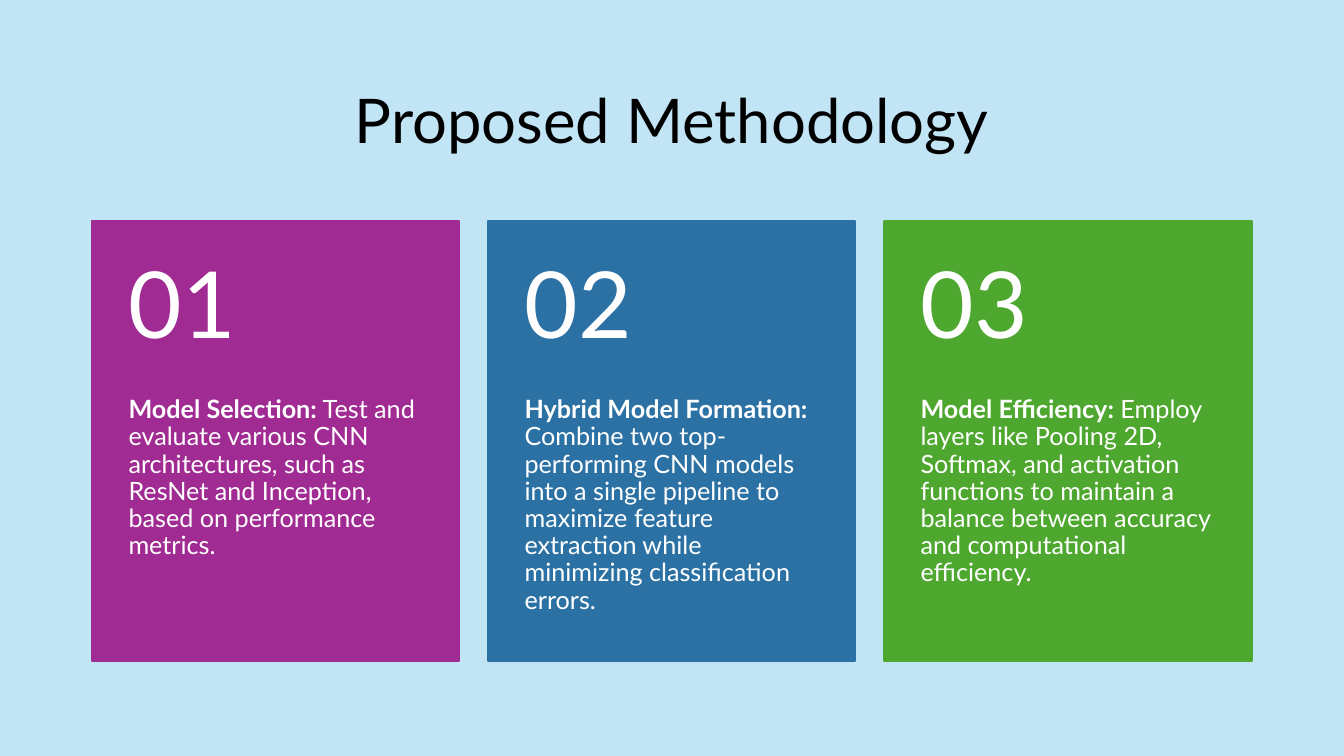
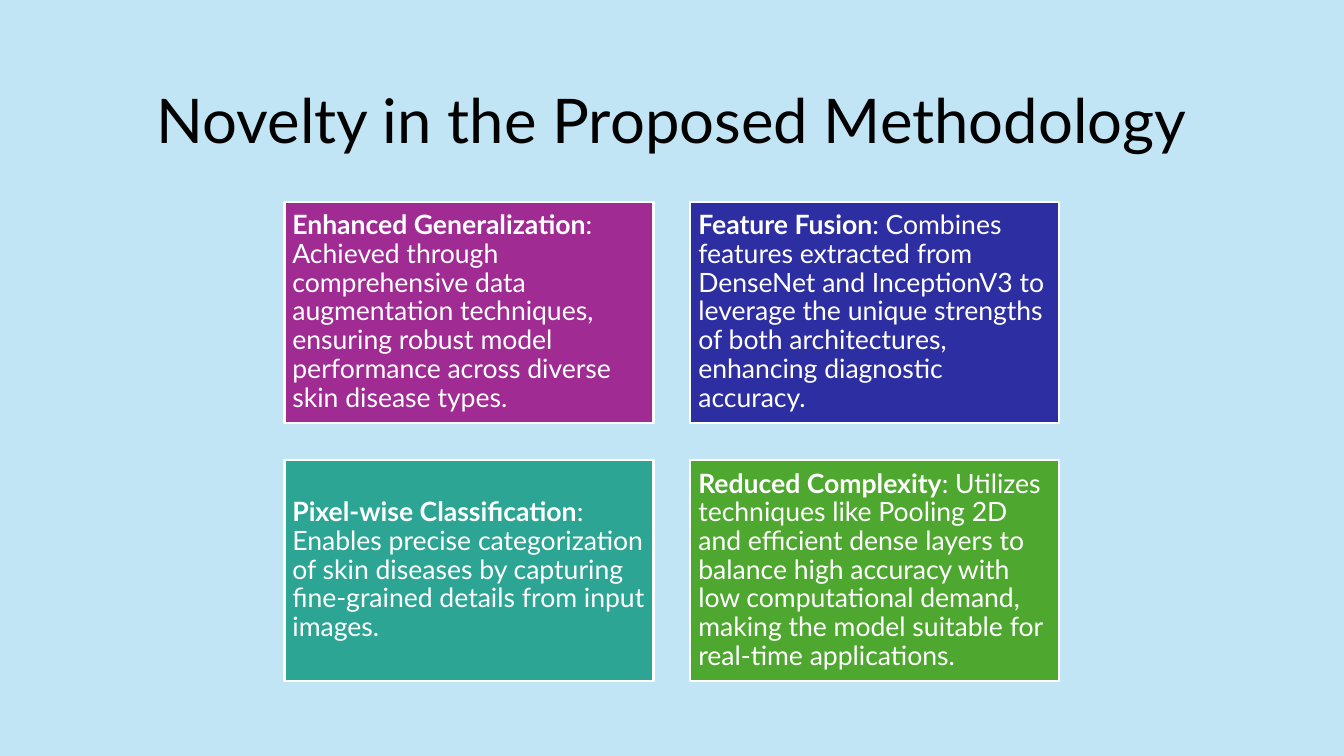
import pptx
import pptx.dml.color
import pptx.enum.shapes
import pptx.enum.text
import pptx.util

Cm = pptx.util.Cm
Pt = pptx.util.Pt
RGBColor = pptx.dml.color.RGBColor
ANCHOR = pptx.enum.text.MSO_ANCHOR
ALIGN = pptx.enum.text.PP_ALIGN

# Shared style
FONT = "Lato"
SKY = RGBColor(0xC1, 0xE5, 0xF5)
BLACK = RGBColor(0x00, 0x00, 0x00)
WHITE = RGBColor(0xFF, 0xFF, 0xFF)
PURPLE = RGBColor(0xA0, 0x2B, 0x93)
BLUE = RGBColor(0x2C, 0x71, 0xA4)
INDIGO = RGBColor(0x2C, 0x2E, 0xA2)
TEAL = RGBColor(0x2D, 0xA5, 0x94)
GREEN = RGBColor(0x4E, 0xA7, 0x2E)

SLIDE_W, SLIDE_H = 33.87, 19.05

# Content: (colour, bold lead, rest of the text)
STEPS = [
    (PURPLE, "Model Selection:",
     " Test and evaluate various CNN architectures, such as ResNet and "
     "Inception, based on performance metrics."),
    (BLUE, "Hybrid Model Formation:",
     " Combine two top-performing CNN models into a single pipeline to "
     "maximize feature extraction while minimizing classification errors."),
    (GREEN, "Model Efficiency:",
     " Employ layers like Pooling 2D, Softmax, and activation functions to "
     "maintain a balance between accuracy and computational efficiency."),
]
NOVELTIES = [
    (PURPLE, "Enhanced Generalization",
     ": Achieved through comprehensive data augmentation techniques, "
     "ensuring robust model performance across diverse skin disease types."),
    (INDIGO, "Feature Fusion",
     ": Combines features extracted from DenseNet and InceptionV3 to leverage "
     "the unique strengths of both architectures, enhancing diagnostic "
     "accuracy."),
    (TEAL, "Pixel-wise Classification",
     ": Enables precise categorization of skin diseases by capturing "
     "fine-grained details from input images."),
    (GREEN, "Reduced Complexity",
     ": Utilizes techniques like Pooling 2D and efficient dense layers to "
     "balance high accuracy with low computational demand, making the model "
     "suitable for real-time applications."),
]


def write_text(sp, text, lead="", size=18, color=WHITE, align=ALIGN.LEFT,
               anchor=ANCHOR.MIDDLE, insets=(0.25, 0.13, 0.25, 0.13)):
    """Fill a shape with one paragraph; lead is its bold beginning."""
    tf = sp.text_frame
    tf.word_wrap = True
    tf.vertical_anchor = anchor
    (tf.margin_left, tf.margin_top,
     tf.margin_right, tf.margin_bottom) = [Cm(v) for v in insets]
    p = tf.paragraphs[0]
    p.alignment = align
    p.line_spacing = 0.9
    for part, bold in ((lead, True), (text, False)):
        if part:
            r = p.add_run()
            r.text = part
            r.font.name = FONT
            r.font.size = Pt(size)
            r.font.bold = bold
            r.font.color.rgb = color


def add_text(s, x, y, w, h, text, **style):
    sp = s.shapes.add_textbox(Cm(x), Cm(y), Cm(w), Cm(h))
    write_text(sp, text, **style)


def add_box(s, x, y, w, h, fill, line):
    sp = s.shapes.add_shape(pptx.enum.shapes.MSO_SHAPE.RECTANGLE,
                            Cm(x), Cm(y), Cm(w), Cm(h))
    sp.shadow.inherit = False
    sp.fill.solid()
    sp.fill.fore_color.rgb = fill
    sp.line.color.rgb = line
    sp.line.width = Pt(1.5)
    return sp


def add_slide(prs, title):
    s = prs.slides.add_slide(prs.slide_layouts[6])
    s.background.fill.solid()
    s.background.fill.fore_color.rgb = SKY
    add_text(s, 2.33, 1.55, 29.21, 3.15, title,
             size=44, color=BLACK, align=ALIGN.CENTER)
    return s


def add_step_card(s, x, number, color, lead, text):
    """Tall card: large number above its description."""
    y, w, number_h, text_h = 5.56, 9.25, 4.44, 6.66
    add_box(s, x, y, w, number_h + text_h, color, color)
    add_text(s, x, y + number_h, w, text_h, text, lead=lead,
             anchor=ANCHOR.TOP, insets=(0.91, 0, 0.91, 0.91))
    add_text(s, x, y, w, number_h, f"{number:02d}", size=66,
             insets=(0.91, 0.46, 0.91, 0.46))


def methodology_slide(prs):
    s = add_slide(prs, "Proposed Methodology")
    for i, step in enumerate(STEPS):
        add_step_card(s, 2.33 + i * 9.98, i + 1, *step)


def novelty_slide(prs):
    s = add_slide(prs, "Novelty in the Proposed Methodology")
    w, h, gap = 9.3, 5.58, 0.93
    for i, (color, lead, text) in enumerate(NOVELTIES):
        row, col = divmod(i, 2)
        sp = add_box(s, 7.17 + col * (w + gap), 5.08 + row * (h + gap),
                     w, h, color, WHITE)
        write_text(sp, text, lead=lead, size=19, insets=(0.2,) * 4)


def main():
    prs = pptx.Presentation()
    prs.slide_width, prs.slide_height = Cm(SLIDE_W), Cm(SLIDE_H)
    methodology_slide(prs)
    novelty_slide(prs)
    prs.save("out.pptx")


if __name__ == "__main__":
    main()
